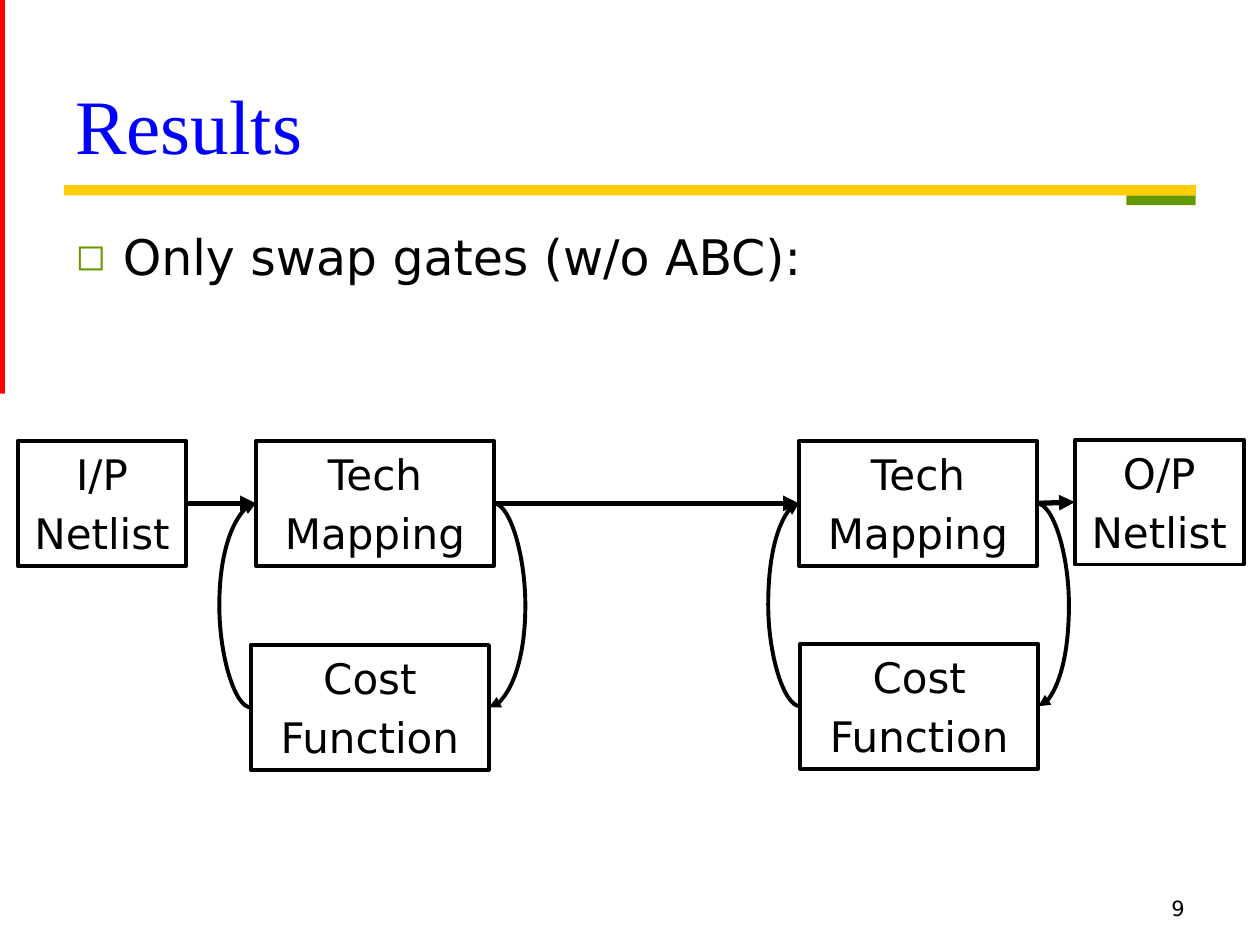
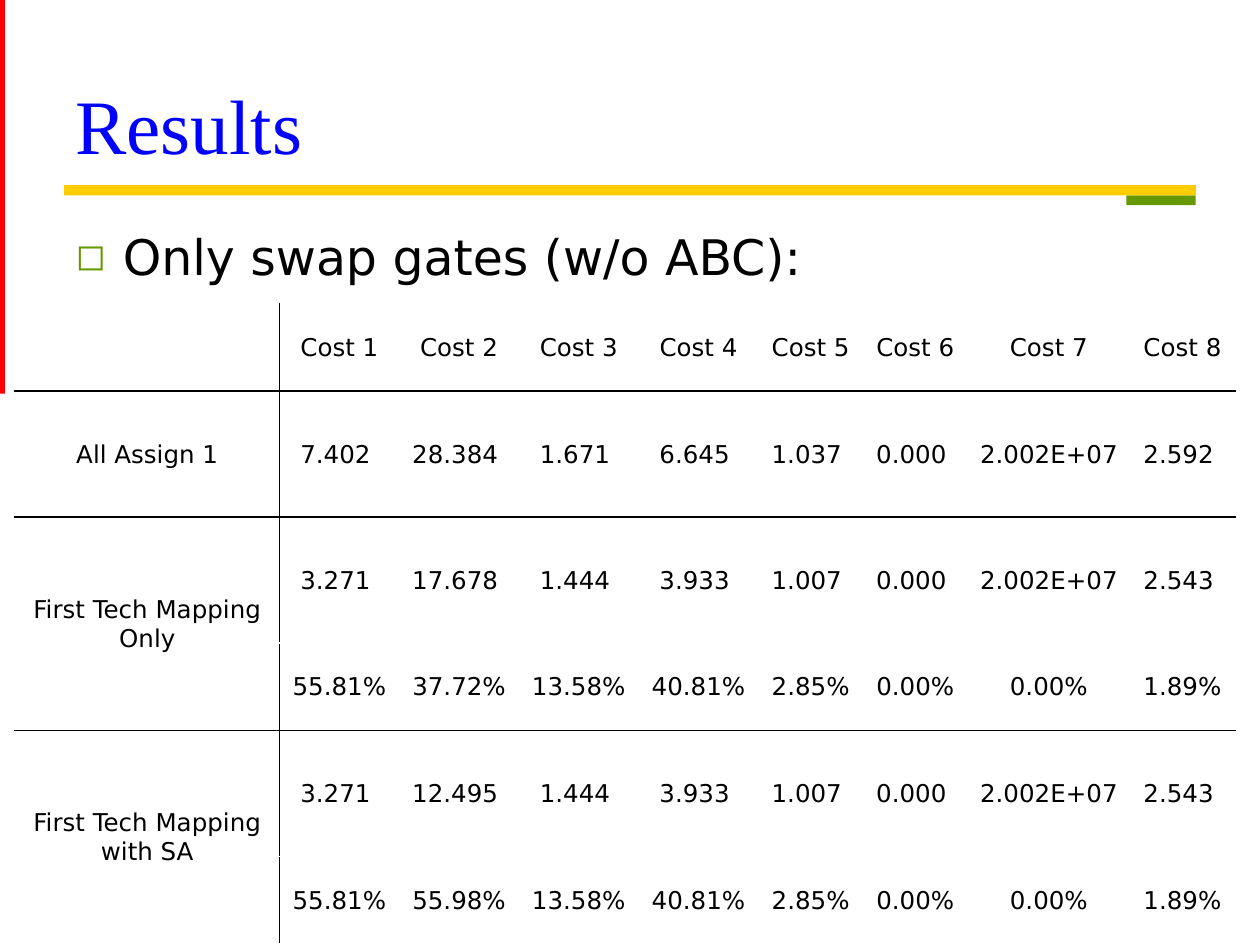
"""Build two result slides: a gate swapping flow and its cost table."""
import pptx
import pptx.dml.color
import pptx.enum.shapes
import pptx.enum.text
import pptx.oxml
import pptx.oxml.ns
import pptx.util

Pt = pptx.util.Pt
RGBColor = pptx.dml.color.RGBColor
ALIGN = pptx.enum.text.PP_ALIGN
ANCHOR = pptx.enum.text.MSO_ANCHOR
RECTANGLE = pptx.enum.shapes.MSO_SHAPE.RECTANGLE
CONNECTOR = pptx.enum.shapes.MSO_CONNECTOR

BLACK = RGBColor(0x00, 0x00, 0x00)
WHITE = RGBColor(0xFF, 0xFF, 0xFF)
BLUE = RGBColor(0x00, 0x00, 0xFF)
GREEN = RGBColor(0x66, 0x99, 0x00)
RED = RGBColor(0xFF, 0x00, 0x00)
GOLD = RGBColor(0xFF, 0xCC, 0x00)
SANS, SERIF = "DejaVu Sans", "Times New Roman"

TITLE = "Results"
LEAD = "Only swap gates (w/o ABC):"
BANDS = [(643.7, 111.6, 39.6, 5.6, GREEN), (0, 0, 2.8, 225, RED), (36.7, 105.8, 646.6, 5.8, GOLD)]

END_WIDTH, STEP_WIDTH, BOX_HEIGHT = 96.5, 136.1, 71.3
BOXES = {
    "input": ("I/P\nNetlist", 10.1, 252, END_WIDTH),
    "first mapping": ("Tech\nMapping", 146.2, 252, STEP_WIDTH),
    "first cost": ("Cost\nFunction", 143.3, 368.6, STEP_WIDTH),
    "second mapping": ("Tech\nMapping", 456.5, 252, STEP_WIDTH),
    "second cost": ("Cost\nFunction", 457.2, 367.9, STEP_WIDTH),
    "output": ("O/P\nNetlist", 614.2, 251.3, END_WIDTH),
}
FLOW = ["input", "first mapping", "second mapping", "output"]
LOOPS = [("first mapping", "first cost"), ("second mapping", "second cost")]
LEFT_SITE, RIGHT_SITE = 1, 3
LOOP_REACH = 18

COSTS = [
    ["", "Cost 1", "Cost 2", "Cost 3", "Cost 4", "Cost 5", "Cost 6", "Cost 7", "Cost 8"],
    ["All Assign 1", "7.402 ", "28.384 ", "1.671 ", "6.645 ", "1.037 ", "0.000 ", "2.002E+07", "2.592 "],
    ["First Tech Mapping\nOnly", "3.271 ", "17.678 ", "1.444 ", "3.933 ", "1.007 ", "0.000 ", "2.002E+07", "2.543 "],
    ["", "55.81%", "37.72%", "13.58%", "40.81%", "2.85%", "0.00%", "0.00%", "1.89%"],
    ["First Tech Mapping\nwith SA", "3.271 ", "12.495 ", "1.444 ", "3.933 ", "1.007 ", "0.000 ", "2.002E+07", "2.543 "],
    ["", "55.81%", "55.98%", "13.58%", "40.81%", "2.85%", "0.00%", "0.00%", "1.89%"],
]
COLUMN_WIDTHS = [151.2] + [68.4] * 4 + [59.8, 59.8, 92.9, 59.8]
ROW_HEIGHTS = [50, 72, 72, 50, 72, 50]
RULED_ROWS = {0, 1, 3}
MERGED_ROWS = [2, 4]


def write_text(frame, text, size=24, font=SANS, color=BLACK, align=ALIGN.LEFT,
               anchor=ANCHOR.TOP, before=0, line_spacing=None, wrap=True):
    """Fill a text frame, one paragraph per line of text."""
    frame.word_wrap = wrap
    frame.vertical_anchor = anchor
    for index, line in enumerate(text.split("\n")):
        paragraph = frame.add_paragraph() if index else frame.paragraphs[0]
        paragraph.alignment = align
        paragraph.space_before = Pt(before)
        paragraph.line_spacing = line_spacing
        run = paragraph.add_run()
        run.text = line
        run.font.size = Pt(size)
        run.font.name = font
        run.font.color.rgb = color


def add_xml(parent, tag, **attributes):
    """Append a drawing element with its attributes and return it."""
    element = pptx.oxml.parse_xml(f"<a:{tag} {pptx.oxml.ns.nsdecls('a')}/>")
    for name, value in attributes.items():
        element.set(name, str(value))
    parent.append(element)
    return element


def place(shape, left, top, width, height):
    """Move and size a shape in points."""
    shape.left, shape.top, shape.width, shape.height = map(Pt, (left, top, width, height))


def add_box(slide, left, top, width, height, fill=None):
    """Add a rectangle, filled without a line or outlined without a fill."""
    box = slide.shapes.add_shape(RECTANGLE, *map(Pt, (left, top, width, height)))
    box.shadow.inherit = False
    if fill is None:
        box.fill.background()
        box.line.color.rgb = BLACK
        box.line.width = Pt(2.25)
    else:
        box.fill.solid()
        box.fill.fore_color.rgb = fill
        box.line.fill.background()
    return box


def add_bands(presentation, slide):
    """Draw the coloured bands and hand them to the slide master."""
    for *area, color in BANDS:
        band = add_box(slide, *area, fill=color)
        presentation.slide_master.shapes.element.append(band.element)


def add_results_slide(presentation, number):
    """Add a slide with the shared title, lead line and page number."""
    slide = presentation.slides.add_slide(presentation.slide_layouts[1])
    title, body = slide.shapes.title, slide.placeholders[1]
    place(title, 36, 10.1, 648, 90)
    write_text(title.text_frame, TITLE, size=44, font=SERIF, color=BLUE,
               anchor=ANCHOR.BOTTOM, line_spacing=0.8)
    place(body, 36, 126, 648, 356.4)
    write_text(body.text_frame, LEAD, size=28, before=5.6)
    for frame in (title.text_frame, body.text_frame):
        frame.auto_size = pptx.enum.text.MSO_AUTO_SIZE.NONE
    properties = body.text_frame.paragraphs[0]._p.get_or_add_pPr()
    properties.set("marL", str(Pt(27)))
    properties.set("indent", str(-Pt(27)))
    add_xml(add_xml(properties, "buClr"), "srgbClr", val=GREEN)
    add_xml(properties, "buSzPct", val=75000)
    add_xml(properties, "buFont", typeface=SANS)
    add_xml(properties, "buChar", char="◻")
    page = slide.shapes.add_textbox(*map(Pt, (516.2, 508.3, 167.8, 20.2)))
    write_text(page.text_frame, str(number), size=12, align=ALIGN.RIGHT)
    return slide


def add_arrow(slide, start, start_site, end, end_site, width=3, reach=None):
    """Join two boxes; a reach bends the arrow that far past its start."""
    kind = CONNECTOR.STRAIGHT if reach is None else CONNECTOR.CURVE
    arrow = slide.shapes.add_connector(kind, 0, 0, 0, 0)
    arrow.begin_connect(start, start_site)
    arrow.end_connect(end, end_site)
    arrow.line.color.rgb = BLACK
    arrow.line.width = Pt(width)
    add_xml(arrow.line._get_or_add_ln(), "tailEnd", type="triangle")
    properties = arrow.element.spPr
    add_xml(properties, "effectLst")
    if reach is not None:
        bend = round(100000 * Pt(reach) / (arrow.end_x - arrow.begin_x))
        guides = properties.find(".//" + pptx.oxml.ns.qn("a:avLst"))
        add_xml(guides, "gd", name="adj1", fmla=f"val {bend}")


def add_flow(slide):
    """Draw the netlist flow with its two cost loops."""
    boxes = {}
    for name, (text, left, top, width) in BOXES.items():
        boxes[name] = add_box(slide, left, top, width, BOX_HEIGHT)
        write_text(boxes[name].text_frame, text, align=ALIGN.CENTER,
                   anchor=ANCHOR.MIDDLE, before=4.8, wrap=False)
    for start, end in zip(FLOW, FLOW[1:]):
        add_arrow(slide, boxes[start], RIGHT_SITE, boxes[end], LEFT_SITE)
    for mapping_name, cost_name in LOOPS:
        mapping, cost = boxes[mapping_name], boxes[cost_name]
        add_arrow(slide, cost, LEFT_SITE, mapping, LEFT_SITE, width=2.25, reach=-LOOP_REACH)
        add_arrow(slide, mapping, RIGHT_SITE, cost, RIGHT_SITE, width=2.25, reach=LOOP_REACH)


def format_cell(cell, row, column):
    """Give a cell its margins, borders and white fill."""
    cell.margin_left = cell.margin_right = cell.margin_top = Pt(0.7)
    cell.margin_bottom = 0
    ruled_sides = {"lnL": column == 1, "lnR": column == 0,
                   "lnT": row - 1 in RULED_ROWS, "lnB": row in RULED_ROWS}
    for side, ruled in ruled_sides.items():
        border = add_xml(cell._tc.get_or_add_tcPr(), side, w=Pt(1))
        color = BLACK if ruled else WHITE
        add_xml(add_xml(border, "solidFill"), "srgbClr", val=color)
    cell.fill.solid()
    cell.fill.fore_color.rgb = WHITE


def add_cost_table(slide):
    """Add the table of costs for each assignment method."""
    frame = slide.shapes.add_table(len(ROW_HEIGHTS), len(COLUMN_WIDTHS), Pt(8.6), Pt(173.5),
                                   Pt(sum(COLUMN_WIDTHS)), Pt(sum(ROW_HEIGHTS)))
    table = frame.table
    table.first_row = table.horz_banding = False
    for column, width in zip(table.columns, COLUMN_WIDTHS):
        column.width = Pt(width)
    for row, height in zip(table.rows, ROW_HEIGHTS):
        row.height = Pt(height)
    for row, values in enumerate(COSTS):
        for column, value in enumerate(values):
            cell = table.cell(row, column)
            format_cell(cell, row, column)
            if value:
                write_text(cell.text_frame, value, size=14, align=ALIGN.CENTER)
            cell.vertical_anchor = ANCHOR.MIDDLE
    for row in MERGED_ROWS:
        table.cell(row, 0).merge(table.cell(row + 1, 0))


def main():
    """Build and save the presentation."""
    presentation = pptx.Presentation()
    presentation.slide_width, presentation.slide_height = Pt(720), Pt(540)
    flow_slide = add_results_slide(presentation, 9)
    add_bands(presentation, flow_slide)
    add_flow(flow_slide)
    add_cost_table(add_results_slide(presentation, 10))
    presentation.save("out.pptx")


if __name__ == "__main__":
    main()
